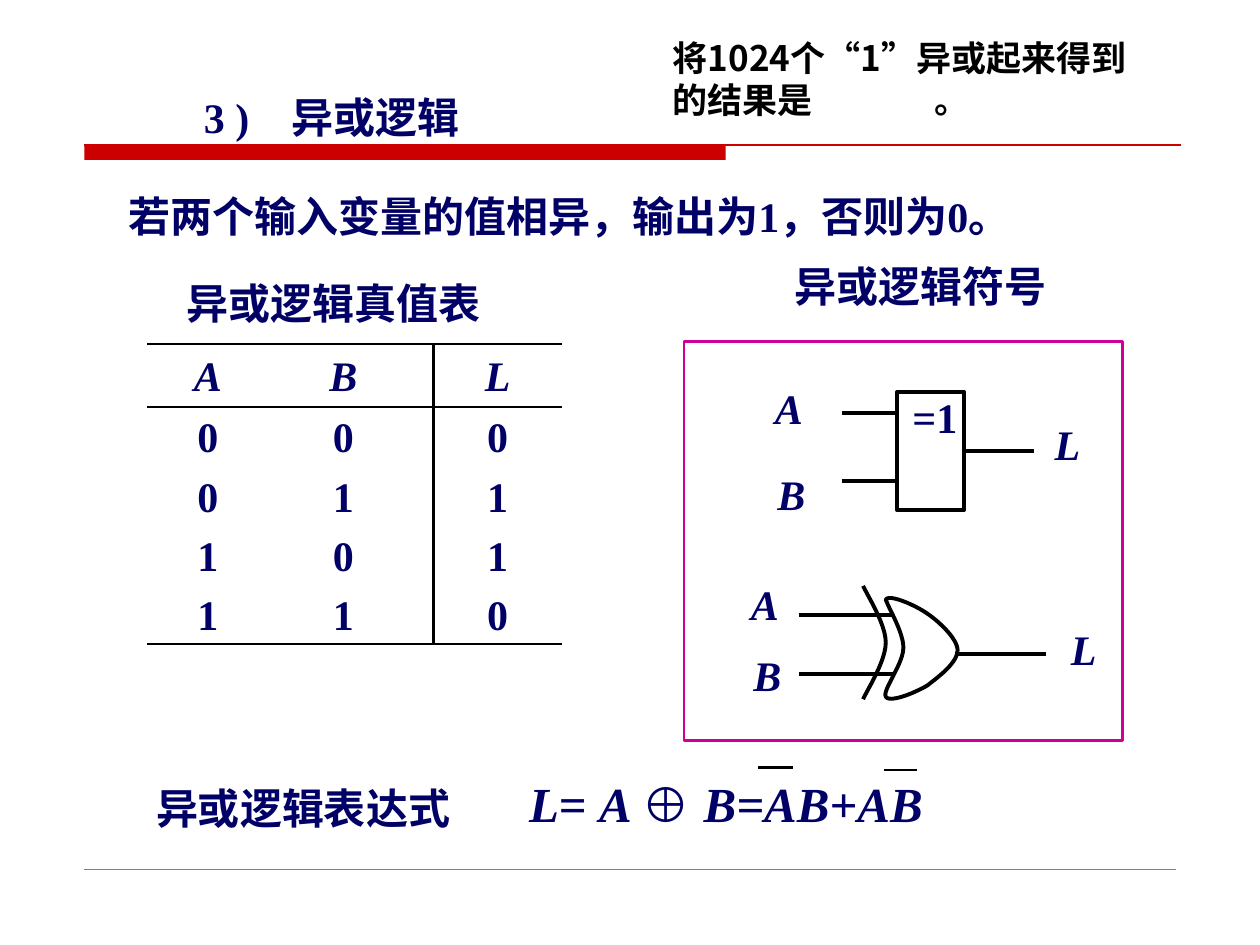
from dataclasses import dataclass

from lxml.etree import SubElement
from pptx import Presentation
from pptx.dml.color import RGBColor
from pptx.enum.shapes import MSO_CONNECTOR, MSO_SHAPE
from pptx.enum.text import MSO_ANCHOR, PP_ALIGN
from pptx.oxml import parse_xml
from pptx.oxml.ns import nsdecls, qn
from pptx.util import Inches, Pt


@dataclass(frozen=True)
class Theme:
    navy: RGBColor = RGBColor(0x00, 0x00, 0x66)
    black: RGBColor = RGBColor(0, 0, 0)
    red: RGBColor = RGBColor(0xCC, 0, 0)
    magenta: RGBColor = RGBColor(0xCC, 0, 0x99)
    grey: RGBColor = RGBColor(0x80, 0x80, 0x80)
    serif: str = "Times New Roman"
    cjk: str = "Noto Sans CJK SC"
    quote: str = "Arial Narrow"
    symbol: str = "Arial"
    body: int = 24
    formula: int = 28
    note: int = 20
    rule: float = 1.5
    wire: float = 2.25


T = Theme()
prs = Presentation()
prs.slide_width, prs.slide_height = Inches(10), Inches(7.5)
s = prs.slides.add_slide(prs.slide_layouts[6])


def write(tf, text, size=T.body, color=T.navy, font=T.serif, italic=False,
          align=PP_ALIGN.LEFT, spacing=None, wrap=True, inset=None):
    """Fill a text frame; text is a string or a list of (string, font, italic, underline)."""
    tf.word_wrap = wrap
    if inset is not None:
        tf.margin_left = tf.margin_right = tf.margin_top = tf.margin_bottom = Inches(inset)
    p = tf.paragraphs[0]
    p.alignment = align
    if spacing:
        p.line_spacing = spacing
    runs = [(text, font, italic, False)] if isinstance(text, str) else text
    for part, face, slanted, underlined in runs:
        r = p.add_run()
        r.text = part
        r.font.name, r.font.size, r.font.bold = face, Pt(size), True
        r.font.italic, r.font.underline = slanted, underlined
        r.font.color.rgb = color
        SubElement(r._r.get_or_add_rPr(), qn("a:ea"), typeface=T.cjk)
    return p


def line(x1, y1, x2, y2, width=T.rule, color=T.black):
    c = s.shapes.add_connector(MSO_CONNECTOR.STRAIGHT, Inches(x1), Inches(y1),
                               Inches(x2), Inches(y2))
    c.line.width, c.line.color.rgb = Pt(width), color
    SubElement(c._element.spPr, qn("a:effectLst"))
    return c


# Header bar and footer rule
bar = s.shapes.add_shape(MSO_SHAPE.RECTANGLE, Inches(0.67), Inches(1.15),
                         Inches(5.09), Inches(0.12))
bar.shadow.inherit = False
bar.fill.solid()
bar.fill.fore_color.rgb = T.red
bar.line.fill.background()
line(0.67, 1.15, 9.37, 1.15, 0.75, T.red)
line(0.67, 6.9, 9.33, 6.9, 0.25, T.grey)

# Headings
for x, y, w, text in [
    (1.52, 0.68, 2.6, "3 )　异或逻辑"),
    (0.92, 1.46, 8.5, "若两个输入变量的值相异，输出为1，否则为0。"),
    (1.38, 2.15, 2.9, "异或逻辑真值表"),
    (6.21, 2.02, 2.4, "异或逻辑符号"),
    (1.14, 6.16, 2.8, "异或逻辑表达式"),
]:
    sp = s.shapes.add_textbox(Inches(x), Inches(y), Inches(w), Inches(0.5))
    write(sp.text_frame, text)

# Truth table
inputs = [(a, b) for a in (0, 1) for b in (0, 1)]
rows = ["ABL"] + [f"{a}{b}{a ^ b}" for a, b in inputs]
col_widths = [0.96, 1.31, 1.02]
row_heights = [0.5] + [0.47] * len(inputs)
table = s.shapes.add_table(len(rows), len(col_widths), Inches(1.17), Inches(2.73),
                           Inches(sum(col_widths)), Inches(sum(row_heights))).table
table.first_row = table.horz_banding = False
for col, w in zip(table.columns, col_widths):
    col.width = Inches(w)
for row, h in zip(table.rows, row_heights):
    row.height = Inches(h)
for i, row in enumerate(rows):
    for j, value in enumerate(row):
        cell = table.cell(i, j)
        cell.margin_left = cell.margin_bottom = 0
        cell.margin_right = Inches(0.12 if j == 1 else 0)
        cell.margin_top = Inches(0.06)
        cell.vertical_anchor = MSO_ANCHOR.MIDDLE
        cell.fill.background()
        write(cell.text_frame, value, italic=i == 0, align=PP_ALIGN.CENTER, spacing=0.9)
        edges = {"lnL": j == 2, "lnR": j == 1, "lnT": i < 2, "lnB": i in (0, len(inputs))}
        for k, (edge, shown) in enumerate(edges.items()):
            paint = (f'<a:solidFill><a:srgbClr val="{T.black}"/></a:solidFill>'
                     if shown else "<a:noFill/>")
            cell._tc.get_or_add_tcPr().insert(k, parse_xml(
                f'<a:{edge} {nsdecls("a")} w="{Pt(T.rule)}">{paint}</a:{edge}>'))

# Symbol frame and rectangular gate
outlines = []
for x, y, w, h, color, width in [
    (5.43, 2.71, 3.48, 3.17, T.magenta, T.rule),
    (7.12, 3.11, 0.53, 0.94, T.black, T.wire),
]:
    sp = s.shapes.add_shape(MSO_SHAPE.RECTANGLE, Inches(x), Inches(y), Inches(w), Inches(h))
    sp.shadow.inherit = False
    sp.fill.background()
    sp.line.color.rgb, sp.line.width = color, Pt(width)
    outlines.append(sp)
gate = outlines[1]

# Wires of both symbols
for x1, x2, y in [(6.68, 7.12, 3.28), (6.68, 7.12, 3.82), (6.34, 7.09, 4.88),
                  (6.34, 7.09, 5.35), (7.58, 8.3, 5.19)]:
    line(x1, y, x2, y, T.wire)
line(7.65, 3.58, 8.21, 3.58, T.wire).begin_connect(gate, 3)

# Curved gate: start point, then cubic segments of two controls and an end
body = [(7.03, 4.76),
        (7.05, 4.71), (7.26, 4.8), (7.36, 4.87),
        (7.45, 4.93), (7.6, 5.07), (7.6, 5.16),
        (7.6, 5.26), (7.45, 5.37), (7.36, 5.44),
        (7.26, 5.5), (7.06, 5.58), (7.03, 5.53),
        (7, 5.48), (7.17, 5.27), (7.17, 5.14),
        (7.17, 5.02), (7.06, 4.84), (7.03, 4.76)]
back_arc = [(6.85, 4.65),
            (6.88, 4.72), (7.03, 4.95), (7.03, 5.1),
            (7.03, 5.25), (6.88, 5.48), (6.85, 5.55)]
STEPS = 12
for curve, closed in [(body, True), (back_arc, False)]:
    points = []
    for k in range(0, len(curve) - 1, 3):
        for t in (n / STEPS for n in range(1, STEPS + 1)):
            weights = ((1 - t) ** 3, 3 * t * (1 - t) ** 2, 3 * t * t * (1 - t), t ** 3)
            points.append(tuple(
                Inches(sum(wt * pt[axis] for wt, pt in zip(weights, curve[k:k + 4])))
                for axis in (0, 1)))
    fb = s.shapes.build_freeform(Inches(curve[0][0]), Inches(curve[0][1]))
    fb.add_line_segments(points, close=closed)
    sp = fb.convert_to_shape()
    sp.shadow.inherit = False
    sp.fill.background()
    sp.line.color.rgb, sp.line.width = T.black, Pt(T.wire)

# Symbol labels
for x, y, w, text in [
    (6.15, 3.08, 0.22, "A"), (6.17, 3.76, 0.22, "B"), (8.37, 3.37, 0.2, "L"),
    (7.24, 3.15, 0.36, "=1"),
    (5.96, 4.64, 0.22, "A"), (5.98, 5.2, 0.22, "B"), (8.5, 4.99, 0.2, "L"),
]:
    sp = s.shapes.add_textbox(Inches(x), Inches(y), Inches(w), Inches(0.36))
    write(sp.text_frame, text, italic=text.isalpha(), align=PP_ALIGN.CENTER,
          spacing=0.9, wrap=False, inset=0)

# Expression with its negation bars
sp = s.shapes.add_textbox(Inches(4.1), Inches(6.09), Inches(4.28), Inches(0.57))
write(sp.text_frame, [("L", T.serif, True, False), ("= ", T.serif, False, False),
                      ("A ", T.serif, True, False), ("⊕ ", T.symbol, False, False),
                      ("B=AB+AB", T.serif, True, False)], size=T.formula)
line(6.02, 6.09, 6.29, 6.09)
line(7.02, 6.11, 7.28, 6.11)

# Question with an underlined blank
sp = s.shapes.add_textbox(Inches(5.24), Inches(0.24), Inches(3.86), Inches(0.77))
sp.text_frame.vertical_anchor = MSO_ANCHOR.MIDDLE
p = write(sp.text_frame, [("将1024个", T.cjk, False, False), ("“", T.quote, False, False),
                          ("1", T.cjk, False, False), ("”", T.quote, False, False),
                          ("异或起来得到的结果是", T.cjk, False, False),
                          ("\t", T.cjk, False, True), ("。", T.cjk, False, False)],
          size=T.note, color=T.black)
tabs = SubElement(p._p.get_or_add_pPr(), qn("a:tabLst"))
SubElement(tabs, qn("a:tab"), pos=str(Inches(2.08)), algn="l")

prs.save("out.pptx")
